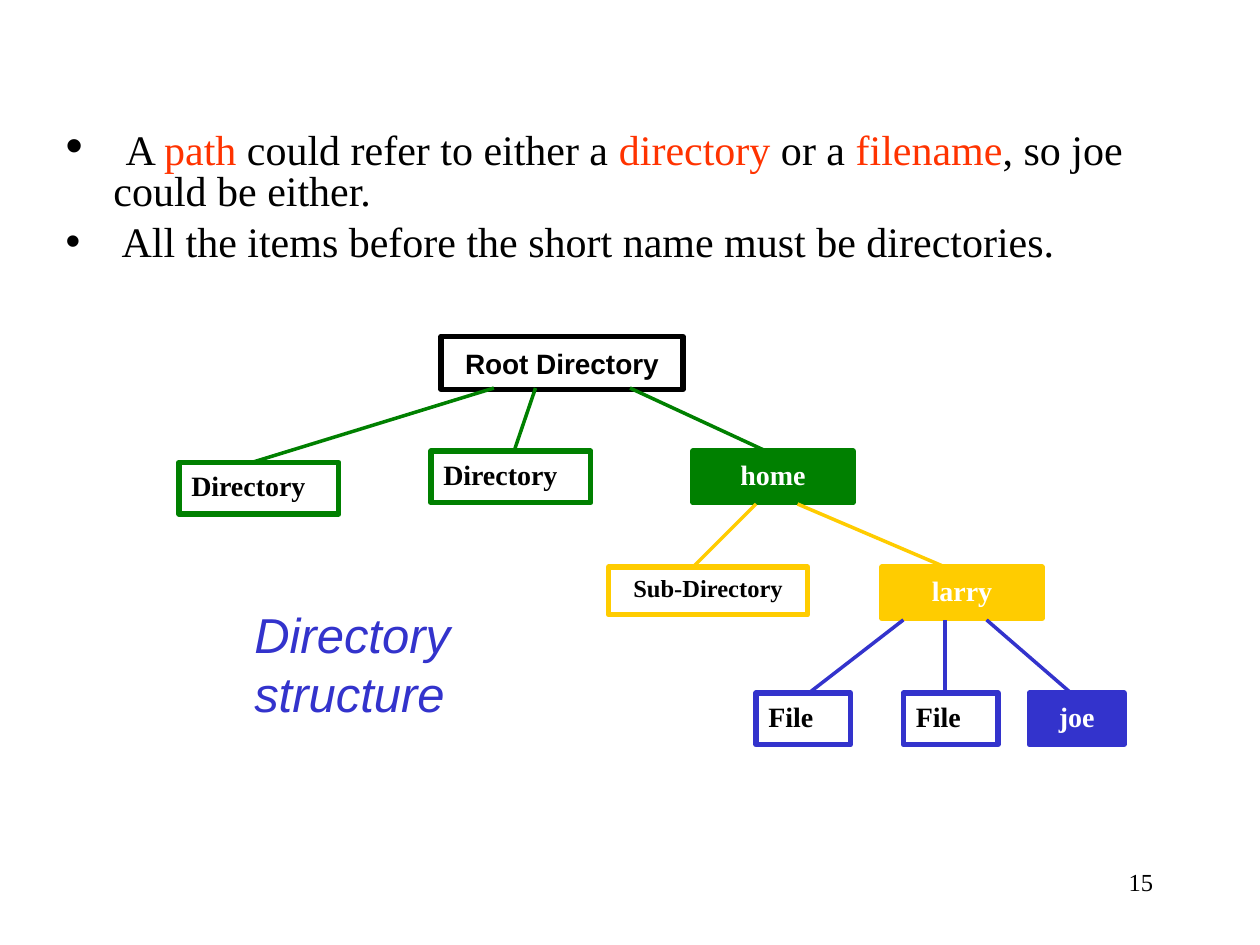
from dataclasses import dataclass

from lxml import etree
from pptx import Presentation
from pptx import util as u
from pptx.dml.color import RGBColor
from pptx.enum import shapes, text
from pptx.oxml.ns import qn


@dataclass(frozen=True)
class Theme:
    black: str = "000000"
    white: str = "FFFFFF"
    accent: str = "FF3300"
    green: str = "008000"
    gold: str = "FFCC00"
    blue: str = "3333CC"
    serif: str = "Times New Roman"
    sans: str = "Arial"
    large: int = 28
    body: int = 24
    node: int = 16
    small: int = 14
    border: int = 3
    branch: int = 2


T = Theme()
LEFT, CENTER, RIGHT = text.PP_ALIGN.LEFT, text.PP_ALIGN.CENTER, text.PP_ALIGN.RIGHT


@dataclass(frozen=True)
class Node:
    label: str
    left: float
    top: float
    width: float
    color: str
    height: float = 0.41
    filled: bool = False
    align: text.PP_ALIGN = LEFT
    size: int = T.node
    font: str = T.serif


@dataclass(frozen=True)
class Branch:
    """Lines that fan out from one parent's lower edge to its children."""
    color: str
    parent_y: float
    ends: tuple  # (parent x, child x, child y)


def style(r, size: int, color: str, font: str = T.serif,
          bold: bool = False, italic: bool = False) -> None:
    f = r.font
    f.name, f.size, f.bold, f.italic = font, u.Pt(size), bold, italic
    f.color.rgb = RGBColor.from_string(color)


def add_node(s, n: Node):
    sp = s.shapes.add_shape(shapes.MSO_SHAPE.RECTANGLE, u.Inches(n.left), u.Inches(n.top),
                            u.Inches(n.width), u.Inches(n.height))
    sp.shadow.inherit = False
    color = RGBColor.from_string(n.color)
    sp.line.color.rgb, sp.line.width = color, u.Pt(T.border)
    if n.filled:
        sp.fill.solid()
        sp.fill.fore_color.rgb = color
    else:
        sp.fill.background()
    tf = sp.text_frame
    tf.word_wrap = True
    tf.vertical_anchor = text.MSO_ANCHOR.TOP
    tf.text = n.label
    p = tf.paragraphs[0]
    p.alignment = n.align
    style(p.runs[0], n.size, T.white if n.filled else T.black, n.font, bold=True)
    return sp


def add_branch(s, b: Branch) -> None:
    for parent_x, child_x, child_y in b.ends:
        line = s.shapes.add_connector(shapes.MSO_CONNECTOR.STRAIGHT, u.Inches(child_x),
                                      u.Inches(child_y), u.Inches(parent_x), u.Inches(b.parent_y))
        line.line.color.rgb = RGBColor.from_string(b.color)
        line.line.width = u.Pt(T.branch)
        etree.SubElement(line._element.spPr, qn("a:effectLst"))


def add_text(s, words: str, left: float, top: float, width: float, height: float,
             align: text.PP_ALIGN = LEFT, **look) -> None:
    sp = s.shapes.add_textbox(u.Inches(left), u.Inches(top), u.Inches(width), u.Inches(height))
    tf = sp.text_frame
    tf.word_wrap = True
    tf.text = words
    p = tf.paragraphs[0]
    p.alignment = align
    style(p.runs[0], **look)


def fill_body(sp, bullets: list) -> None:
    sp.left, sp.top, sp.width, sp.height = map(u.Inches, (0.42, 0.42, 9, 1.81))
    tf = sp.text_frame
    tf.auto_size = text.MSO_AUTO_SIZE.NONE
    tf.vertical_anchor = text.MSO_ANCHOR.BOTTOM
    tf.margin_bottom = u.Inches(0.12)
    for i, parts in enumerate(bullets):
        p = tf.paragraphs[0] if i == 0 else tf.add_paragraph()
        pPr = p._p.get_or_add_pPr()
        pPr.set("marL", str(u.Inches(0.38)))
        pPr.set("indent", str(-u.Inches(0.38)))
        p.line_spacing = 0.8
        p.space_before = u.Pt(6 if i else 0)
        for words, size, color in parts:
            r = p.add_run()
            r.text = words
            style(r, size, color)


BULLETS = [
    [(" ", T.large, T.black), ("A ", T.body, T.black), ("path", T.body, T.accent),
     (" could refer to either a ", T.body, T.black), ("directory", T.body, T.accent),
     (" or a ", T.body, T.black), ("filename", T.body, T.accent),
     (", so joe could be either.", T.body, T.black)],
    [(" All the items before the short name must be directories.", T.body, T.black)],
]

ROOT = Node("Root Directory", 3.5, 2.67, 1.92, T.black, 0.42, align=CENTER, font=T.sans)
NODES = [
    Node("Directory", 1.42, 3.67, 1.27, T.green),
    Node("Directory", 3.42, 3.58, 1.27, T.green),
    Node("home", 5.5, 3.58, 1.27, T.green, filled=True, align=CENTER),
    Node("Sub-Directory", 4.83, 4.5, 1.58, T.gold, 0.38, align=CENTER, size=T.small),
    Node("larry", 7, 4.5, 1.27, T.gold, filled=True, align=CENTER),
    Node("File", 6, 5.5, 0.75, T.blue),
    Node("File", 7.17, 5.5, 0.75, T.blue),
    Node("joe", 8.17, 5.5, 0.75, T.blue, filled=True, align=CENTER),
]
BRANCHES = [
    Branch(T.green, 3.08, ((3.92, 2, 3.67), (4.25, 4.08, 3.58), (5, 6.08, 3.58))),
    Branch(T.gold, 4, ((6, 5.5, 4.5), (6.33, 7.5, 4.5))),
    Branch(T.blue, 4.92, ((7.17, 6.42, 5.5), (7.5, 7.5, 5.5), (7.83, 8.5, 5.5))),
]


def main() -> None:
    prs = Presentation()
    prs.slide_width, prs.slide_height = u.Inches(10), u.Inches(7.5)
    s = prs.slides.add_slide(prs.slide_layouts[1])

    # The slide has no title, only body text
    title = s.shapes.title._element
    title.getparent().remove(title)
    fill_body(s.placeholders[1], BULLETS)

    # Directory tree
    root = add_node(s, ROOT).text_frame
    root.word_wrap = False
    root.vertical_anchor = text.MSO_ANCHOR.MIDDLE
    for n in NODES:
        add_node(s, n)
    for b in BRANCHES:
        add_branch(s, b)

    # Caption and page number
    add_text(s, "Directory structure", 1.92, 4.75, 1.83, 1.03,
             size=T.large, color=T.blue, font=T.sans, italic=True)
    add_text(s, "15", 7.17, 6.83, 2.08, 0.5, RIGHT, size=T.small, color=T.black)

    prs.save("out.pptx")


if __name__ == "__main__":
    main()
